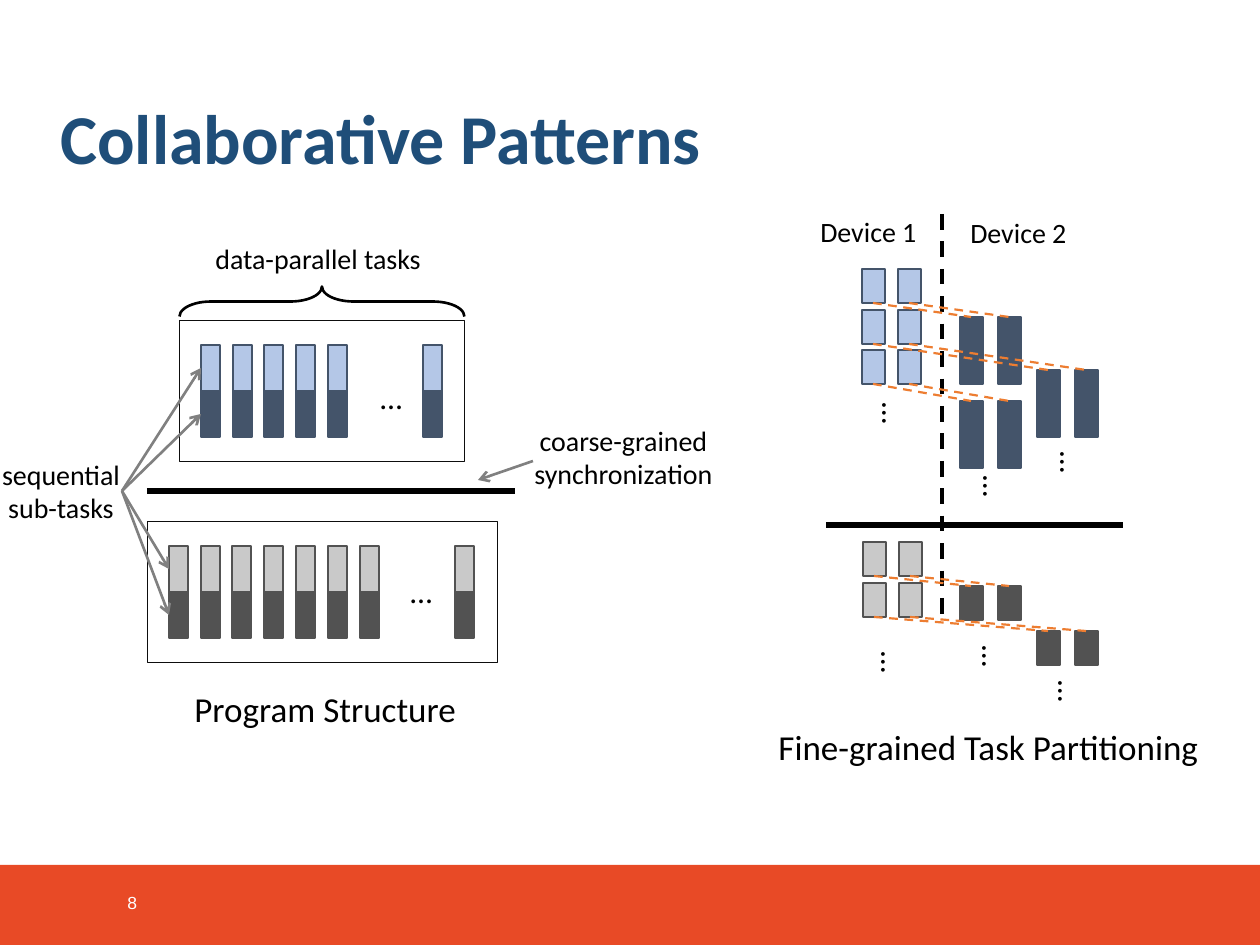
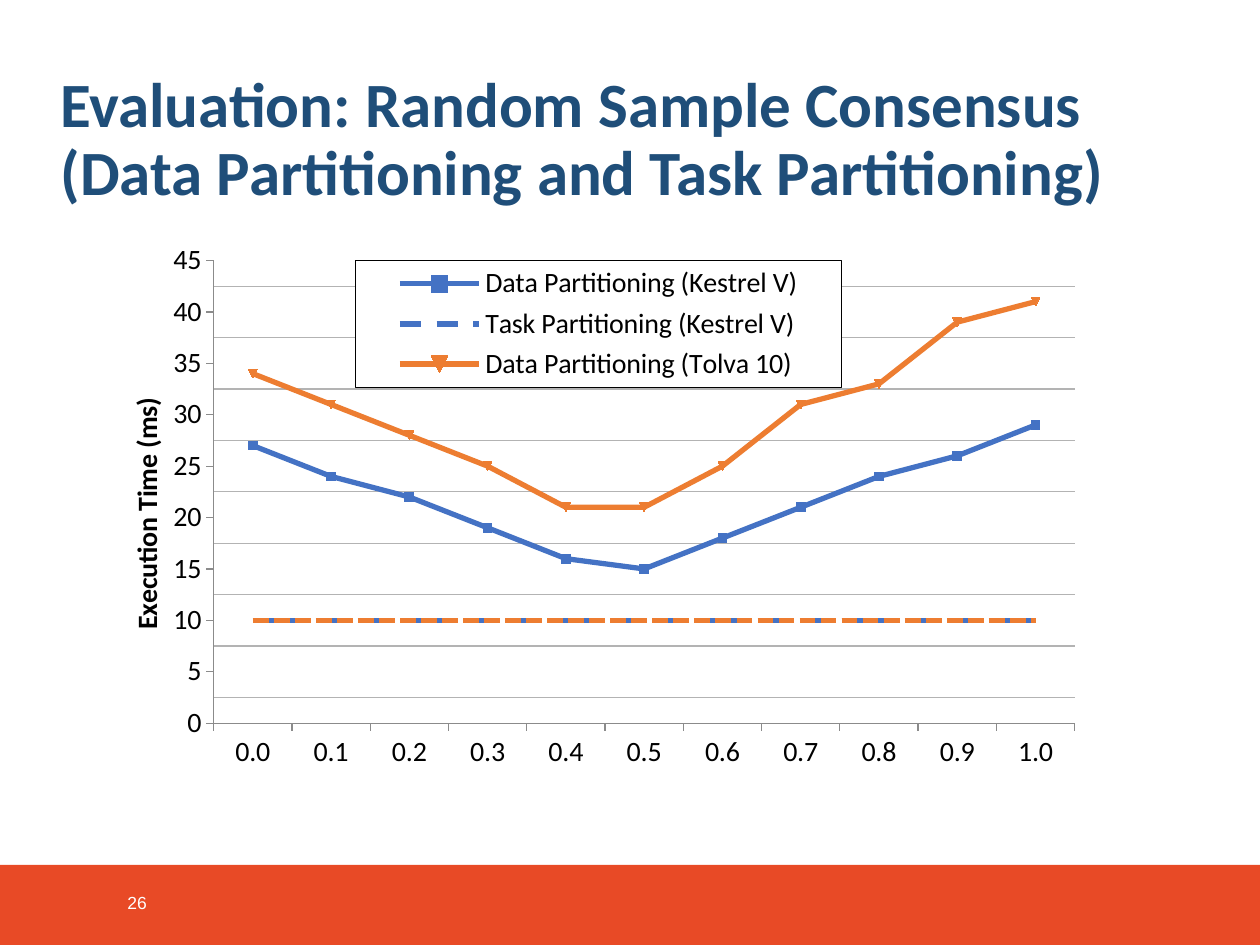
from lxml import etree
from pptx import Presentation
from pptx.chart.data import CategoryChartData
from pptx.dml.color import RGBColor
from pptx.enum.chart import XL_CHART_TYPE, XL_LEGEND_POSITION, XL_MARKER_STYLE, XL_TICK_MARK
from pptx.enum.dml import MSO_LINE
from pptx.enum.shapes import MSO_CONNECTOR, MSO_SHAPE
from pptx.enum.text import MSO_ANCHOR, PP_ALIGN
from pptx.oxml import parse_xml
from pptx.oxml.ns import nsdecls, qn
from pptx.util import Pt

PX = 914400 / 126
RECTANGLE, BRACE = MSO_SHAPE.RECTANGLE, MSO_SHAPE.RIGHT_BRACE
STRAIGHT = MSO_CONNECTOR.STRAIGHT
LEFT, CENTER = PP_ALIGN.LEFT, PP_ALIGN.CENTER
TOP, MIDDLE = MSO_ANCHOR.TOP, MSO_ANCHOR.MIDDLE
DASH, DOTS = MSO_LINE.DASH, MSO_LINE.SQUARE_DOT
OUTSIDE = XL_TICK_MARK.OUTSIDE
NO_MARKER = XL_MARKER_STYLE.NONE

BLACK, WHITE, GRAY = "000000", "FFFFFF", "808080"
BAND, TITLE_BLUE = "E84A26", "1F4E79"
LIGHT_BLUE, DARK_BLUE = "B4C7E7", "44546A"
LIGHT_GRAY, DARK_GRAY = "C9C9C9", "525252"
CHART_BLUE, ORANGE = "4472C4", "ED7D31"
AXIS_GRAY, GRID_GRAY = "8B8B8B", "B3B3B3"
color = RGBColor.from_string


def add_text(slide, text, x, y, width, height, size=16, font="Calibri", fill=BLACK,
             bold=False, align=LEFT, anchor=TOP, wrap=True, inset=None,
             rotation=0, spacing=None):
    box = slide.shapes.add_textbox(*(int(v * PX) for v in (x, y, width, height)))
    box.rotation = rotation
    frame = box.text_frame
    frame.word_wrap = wrap
    frame.vertical_anchor = anchor
    if inset is not None:
        frame.margin_left = frame.margin_right = int(inset * PX)
        frame.margin_top = frame.margin_bottom = int(inset * PX)
    paragraph = frame.paragraphs[0]
    paragraph.text = text
    paragraph.alignment = align
    paragraph.line_spacing = spacing
    for run in paragraph.runs:
        run.font.name = font
        run.font.size = Pt(size)
        run.font.bold = bold
        run.font.color.rgb = color(fill)


def add_shape(slide, kind, x, y, width, height, fill=None, line=None, line_width=1):
    shape = slide.shapes.add_shape(kind, *(int(v * PX) for v in (x, y, width, height)))
    shape.shadow.inherit = False
    if fill:
        shape.fill.solid()
        shape.fill.fore_color.rgb = color(fill)
    else:
        shape.fill.background()
    if line:
        shape.line.color.rgb = color(line)
        shape.line.width = Pt(line_width)
    else:
        shape.line.fill.background()
    return shape


presentation = Presentation()
presentation.slide_width = int(1260 * PX)
presentation.slide_height = int(945 * PX)

# Shared band, page number and title
slides = []
for number, title, title_width, title_size in (
    ("8", "Collaborative Patterns", 1158, 40),
    ("26", "Evaluation: Random Sample Consensus\n"
           "(Data Partitioning and Task Partitioning)", 1179, 36),
):
    slide = presentation.slides.add_slide(presentation.slide_layouts[6])
    add_shape(slide, RECTANGLE, 0, 865, 1260, 80, fill=BAND)
    add_text(slide, number, 115, 878, 66, 50, size=10, font="Arial", fill=WHITE,
             anchor=MIDDLE)
    add_text(slide, title, 48, 50, title_width, 183, size=title_size, fill=TITLE_BLUE,
             bold=True, anchor=MIDDLE, spacing=0.9)
    slides.append(slide)
patterns_slide, evaluation_slide = slides

# Program structure: each task is a light sub-task above a dark one
for first_x, top, columns, light, dark in (
    (201, 345, (0, 1, 2, 3, 4, 7), LIGHT_BLUE, DARK_BLUE),
    (169, 546, (0, 1, 2, 3, 4, 5, 6, 9), LIGHT_GRAY, DARK_GRAY),
):
    for column in columns:
        task_x = round(first_x + column * 31.75)
        add_shape(patterns_slide, RECTANGLE, task_x, top, 19, 46, light, dark)
        add_shape(patterns_slide, RECTANGLE, task_x, top + 46, 19, 46, dark, dark)
add_shape(patterns_slide, RECTANGLE, 179, 320, 285, 141, line="0D0D0D", line_width=0.25)
add_shape(patterns_slide, RECTANGLE, 147, 521, 350, 141, line="0D0D0D", line_width=0.25)
brace = add_shape(patterns_slide, BRACE, 307, 159, 30, 285, line=BLACK, line_width=1.5)
brace.rotation = 270
brace.adjustments[0] = 1.05
brace.adjustments[1] = 0.5

# Lines: x1, y1, x2, y2, colour, width, dash, arrow at the end
lines = [
    (942, 214, 942, 625, BLACK, 2.25, DASH, False),
    (826, 525, 1123, 525, BLACK, 3, None, False),
    (147, 491, 515, 491, BLACK, 3, None, False),
    (533, 461, 478, 480, GRAY, 1.5, None, True),
]
for subtask_x, subtask_y in ((201, 368), (201, 414), (169, 569), (169, 615)):
    lines.append((122, 491, subtask_x, subtask_y, GRAY, 1.5, None, True))

# Task partitioning: a pair of bars on device 1 feeds a pair on device 2
for source_x, source_y, target_x, target_y, target_height, light, dark in (
    (862, 269, 960, 317, 67, LIGHT_BLUE, DARK_BLUE),
    (862, 310, 1037, 370, 67, LIGHT_BLUE, DARK_BLUE),
    (862, 350, 960, 401, 67, LIGHT_BLUE, DARK_BLUE),
    (863, 542, 960, 586, 34, LIGHT_GRAY, DARK_GRAY),
    (863, 583, 1037, 631, 34, LIGHT_GRAY, DARK_GRAY),
):
    for pair in range(2):
        left, right = source_x + 36 * pair, target_x + 38 * pair
        add_shape(patterns_slide, RECTANGLE, left, source_y, 23, 34, light, dark)
        add_shape(patterns_slide, RECTANGLE, right, target_y, 23, target_height, dark, dark)
        lines.append((left + 11, source_y + 34, right + 11, target_y,
                      ORANGE, 1.25, DASH, False))

for x1, y1, x2, y2, line_color, width, dash, arrow in lines:
    connector = patterns_slide.shapes.add_connector(
        STRAIGHT, *(int(v * PX) for v in (x1, y1, x2, y2)))
    connector.line.color.rgb = color(line_color)
    connector.line.width = Pt(width)
    if dash:
        connector.line.dash_style = dash
    properties = connector._element.spPr
    if arrow:
        etree.SubElement(properties.find(qn("a:ln")), qn("a:tailEnd"), type="arrow")
    etree.SubElement(properties, qn("a:effectLst"))

for x, y in ((975, 464), (1052, 440), (874, 391), (873, 640), (974, 634), (1050, 669)):
    add_text(patterns_slide, "…", x, y, 47, 45, size=18, wrap=False, rotation=90)
for x, y in ((368, 372), (398, 566)):
    add_text(patterns_slide, "…", x, y, 39, 38, size=18, wrap=False)
for text, x, y, width in (
    ("Device 1", 808, 208, 123),
    ("Device 2", 958, 209, 123),
    ("data-parallel tasks", 203, 235, 235),
):
    add_text(patterns_slide, text, x, y, width, 47, wrap=False)
add_text(patterns_slide, "sequential sub-tasks", 0, 457, 122, 68, align=CENTER, inset=0)
add_text(patterns_slide, "coarse-grained synchronization", 452, 417, 343, 81, align=CENTER)
add_text(patterns_slide, "Program Structure", 182, 681, 291, 55, size=20, wrap=False)
add_text(patterns_slide, "Fine-grained Task Partitioning", 749, 719, 479, 55, size=20,
         align=CENTER)

# Execution time chart: name, values, colour, dash of each series
execution_times = (
    ("Data Partitioning (Kestrel V)", (27, 24, 22, 19, 16, 15, 18, 21, 24, 26, 29),
     CHART_BLUE, None),
    ("Task Partitioning (Kestrel V)", (10,) * 11, CHART_BLUE, DASH),
    ("Data Partitioning (Tolva 10)", (34, 31, 28, 25, 21, 21, 25, 31, 33, 39, 41),
     ORANGE, None),
    ("Task Partitioning (Tolva 10)", (10,) * 11, ORANGE, DOTS),
)
chart_data = CategoryChartData()
chart_data.categories = [f"{tenth / 10:.1f}" for tenth in range(11)]
for name, values, _, _ in execution_times:
    chart_data.add_series(name, values)
chart = evaluation_slide.shapes.add_chart(
    XL_CHART_TYPE.LINE_MARKERS, *(int(v * PX) for v in (82, 233, 1013, 551)), chart_data).chart
chart.has_title = False
chart.font.name = "Calibri"
chart.font.size = Pt(16)
chart.font.color.rgb = color(BLACK)
chart.plots[0].vary_by_categories = False

for series, (_, _, series_color, dash) in zip(chart.plots[0].series, execution_times):
    series.smooth = False
    series.format.line.color.rgb = color(series_color)
    series.format.line.width = Pt(3)
    if dash:
        series.format.line.dash_style = dash
        series.marker.style = NO_MARKER
    else:
        series.marker.size = 5
        series.marker.format.fill.solid()
        series.marker.format.fill.fore_color.rgb = color(series_color)
        series.marker.format.line.color.rgb = color(series_color)

time_axis = chart.value_axis
for axis in (chart.category_axis, time_axis):
    axis.major_tick_mark = OUTSIDE
    axis.has_major_gridlines = False
    axis.format.line.color.rgb = color(AXIS_GRAY)
    axis.format.line.width = Pt(0.75)
time_axis.minimum_scale, time_axis.maximum_scale = 0, 45
time_axis.major_unit, time_axis.minor_unit = 5, 2.5
time_axis.has_minor_gridlines = True

title_frame = time_axis.axis_title.text_frame
title_frame._txBody.bodyPr.set("rot", "-5400000")
title_run = title_frame.paragraphs[0].add_run()
title_run.text = "Execution Time (ms)"
title_run.font.bold = True
title_run.font.size = Pt(16)
title_run.font.name = "Calibri"
title_run.font.color.rgb = color(BLACK)

chart.has_legend = True
chart.legend.position = XL_LEGEND_POSITION.LEFT
chart.legend.include_in_layout = True
chart.legend.font.size = Pt(16)
legend = chart.legend._element
legend.find(qn("c:legendPos")).addnext(parse_xml(
    f'<c:legendEntry {nsdecls("c")}><c:idx val="3"/><c:delete val="1"/></c:legendEntry>'))

# Outlines of the gridlines and the legend box
grid_format, legend_format = (
    parse_xml(f'<c:spPr {nsdecls("c", "a")}>'
              f'<a:solidFill><a:srgbClr val="{WHITE}"/></a:solidFill><a:ln w="9525">'
              f'<a:solidFill><a:srgbClr val="{outline}"/></a:solidFill></a:ln></c:spPr>')
    for outline in (GRID_GRAY, BLACK))
time_axis._element.find(qn("c:minorGridlines")).append(grid_format)
legend.find(qn("c:overlay")).addnext(legend_format)

# Chart parts placed as fractions of the chart frame
plot_area = chart._chartSpace.chart.plotArea
for part, fractions in (
    (plot_area, {"x": 0.13, "y": 0.05, "w": 0.85, "h": 0.84}),
    (legend, {"x": 0.27, "y": 0.05, "w": 0.48, "h": 0.23}),
    (time_axis.axis_title._element, {"x": 0.04, "y": 0.29}),
):
    for old_layout in part.findall(qn("c:layout")):
        part.remove(old_layout)
    target = '<c:layoutTarget val="inner"/>' if part is plot_area else ""
    modes = "".join(f'<c:{key}Mode val="edge"/>' for key in "xy")
    sizes = "".join(f'<c:{key} val="{value}"/>' for key, value in fractions.items())
    layout = parse_xml(f'<c:layout {nsdecls("c")}><c:manualLayout>{target}{modes}{sizes}'
                       "</c:manualLayout></c:layout>")
    if part is plot_area:
        part.insert(0, layout)
    else:
        part.find(qn("c:overlay")).addprevious(layout)

presentation.save("out.pptx")
